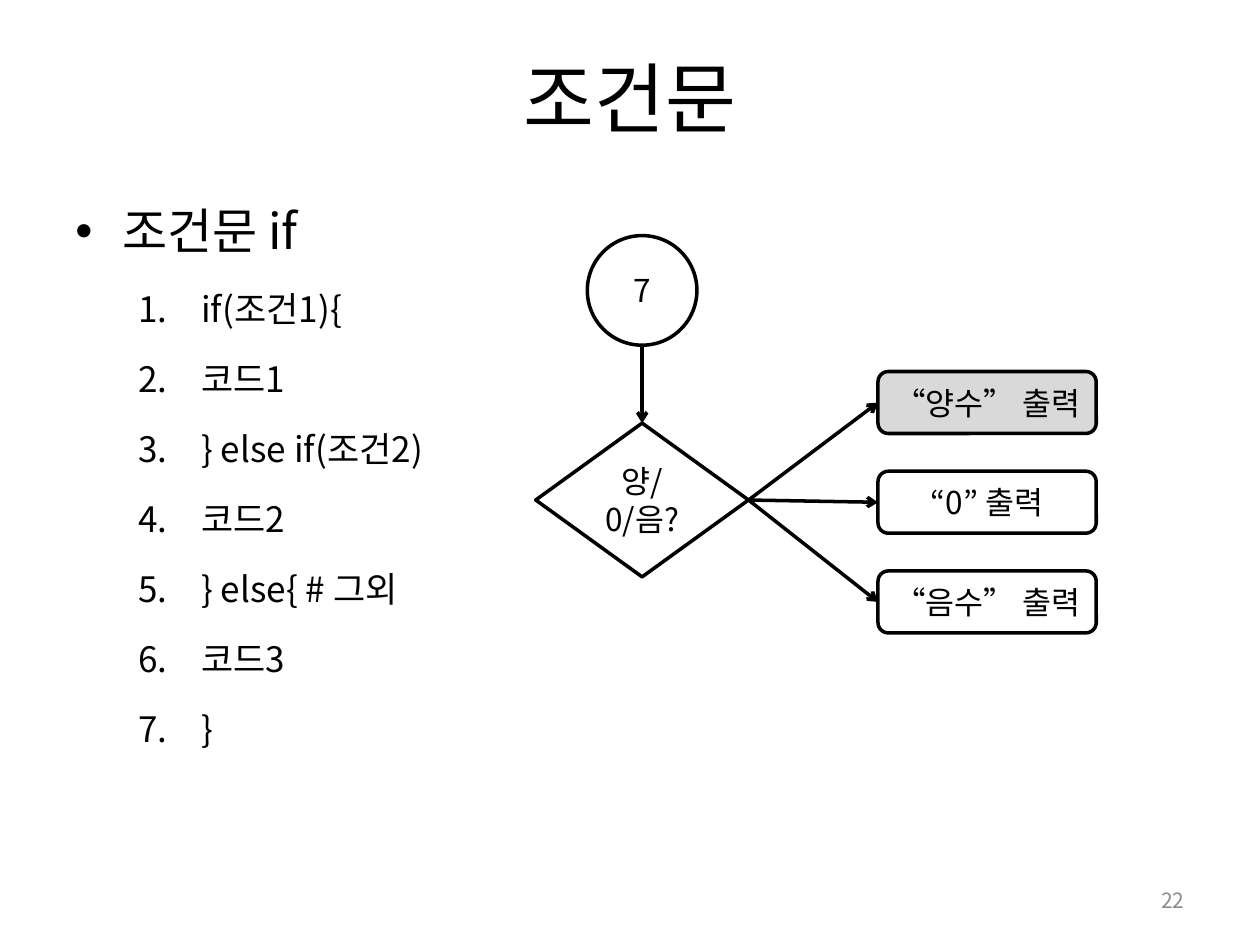
from lxml import etree
from pptx import Presentation
from pptx import util as u
from pptx.dml.color import RGBColor
from pptx.enum import shapes, text
from pptx.oxml.ns import qn

BLACK = RGBColor(0x00, 0x00, 0x00)
GRAY = RGBColor(0x8C, 0x8C, 0x8C)
LIGHT = RGBColor(0xD9, 0xD9, 0xD9)
FONT = "Noto Sans CJK KR"
TOP, LEFT, RIGHT = 0, 1, 3

CODE = ["if(조건1){", "코드1", "} else if(조건2)", "코드2",
        "} else{ # 그외", "코드3", "}"]
OUTPUTS = [("“양수” 출력", LIGHT), ("“0” 출력", None), ("“음수” 출력", None)]


def format_runs(p, size, color=BLACK, latin=FONT):
    """Set size, colour and both the Latin and the Korean font."""
    for r in p.runs:
        r.font.size = u.Pt(size)
        r.font.color.rgb = color
        r.font.name = latin
        ea = etree.SubElement(r.font._element, qn("a:ea"))
        ea.set("typeface", FONT)


def add_title(s, title):
    sp = s.shapes.title
    sp.left, sp.top, sp.width, sp.height = (
        u.Cm(1.27), u.Cm(0.76), u.Cm(22.86), u.Cm(2.37))
    tf = sp.text_frame
    tf.text = title
    tf.vertical_anchor = text.MSO_ANCHOR.MIDDLE
    p = tf.paragraphs[0]
    p.alignment = text.PP_ALIGN.CENTER
    format_runs(p, 44, latin="Arial")


def format_item(p, size, margin, hanging, bullet, **attributes):
    """Give a list paragraph its hanging indent, spacing and bullet."""
    p.line_spacing = u.Pt(size * 1.8)
    p.space_before = u.Pt(size * 0.2)
    format_runs(p, size)
    pPr = p._p.get_or_add_pPr()
    pPr.set("marL", str(u.Cm(margin)))
    pPr.set("indent", str(-u.Cm(hanging)))
    etree.SubElement(pPr, qn("a:buFont")).set("typeface", "Arial")
    bu = etree.SubElement(pPr, qn(bullet))
    for name, value in attributes.items():
        bu.set(name, value)


def add_code_list(s, heading, lines):
    sp = s.shapes.add_textbox(u.Cm(1.27), u.Cm(3.33), u.Cm(22.86), u.Cm(14))
    tf = sp.text_frame
    tf.word_wrap = True
    tf.text = heading
    format_item(tf.paragraphs[0], 28, 0.95, 0.95, "a:buChar", char="•")
    for line in lines:
        p = tf.add_paragraph()
        p.text = line
        p.level = 1
        format_item(p, 20, 2.54, 1.27, "a:buAutoNum", type="arabicPeriod")


def add_node(s, kind, left, top, width, height, label, fill=None):
    sp = s.shapes.add_shape(kind, u.Cm(left), u.Cm(top), u.Cm(width), u.Cm(height))
    sp.shadow.inherit = False
    if fill is None:
        sp.fill.background()
    else:
        sp.fill.solid()
        sp.fill.fore_color.rgb = fill
    sp.line.color.rgb = BLACK
    sp.line.width = u.Pt(2)
    tf = sp.text_frame
    tf.margin_left = tf.margin_right = u.Cm(0.1)
    tf.word_wrap = True
    tf.vertical_anchor = text.MSO_ANCHOR.MIDDLE
    tf.text = label
    p = tf.paragraphs[0]
    p.alignment = text.PP_ALIGN.CENTER
    p.line_spacing = u.Pt(21.6)
    format_runs(p, 18)
    return sp


def add_arrow(s, x, y, target, site):
    """Draw an arrow from a point to a connection site of the target."""
    c = s.shapes.add_connector(shapes.MSO_CONNECTOR.STRAIGHT, x, y, x, y)
    c.end_connect(target, site)
    c.line.color.rgb = BLACK
    c.line.width = u.Pt(2)
    spPr = c.element.spPr
    etree.SubElement(spPr.find(qn("a:ln")), qn("a:tailEnd")).set("type", "arrow")
    etree.SubElement(spPr, qn("a:effectLst"))
    return c


def add_flowchart(s):
    kinds = shapes.MSO_SHAPE
    test = add_node(s, kinds.DIAMOND, 10.8, 8.53, 4.29, 3.1, "양/\v0/음?")
    value = add_node(s, kinds.OVAL, 11.84, 4.75, 2.21, 2.21, "7")
    add_arrow(s, value.left + value.width // 2, value.top + value.height,
              test, TOP)
    for i, (label, fill) in enumerate(OUTPUTS):
        box = add_node(s, kinds.ROUNDED_RECTANGLE, 17.7, 7.49 + 2.01 * i,
                       4.4, 1.25, label, fill)
        c = add_arrow(s, test.left + test.width, test.top + test.height // 2,
                      box, LEFT)
        c.begin_connect(test, RIGHT)


def add_page_number(s, number):
    sp = s.shapes.add_textbox(u.Cm(18.2), u.Cm(17.65), u.Cm(5.93), u.Cm(1.01))
    tf = sp.text_frame
    tf.word_wrap = True
    tf.vertical_anchor = text.MSO_ANCHOR.MIDDLE
    tf.text = number
    p = tf.paragraphs[0]
    p.alignment = text.PP_ALIGN.RIGHT
    format_runs(p, 12, GRAY)


def main():
    prs = Presentation()
    prs.slide_width, prs.slide_height = u.Cm(25.4), u.Cm(19.05)
    s = prs.slides.add_slide(prs.slide_layouts[5])
    add_title(s, "조건문")
    add_code_list(s, "조건문 if", CODE)
    add_flowchart(s)
    add_page_number(s, "22")
    prs.save("out.pptx")


if __name__ == "__main__":
    main()
